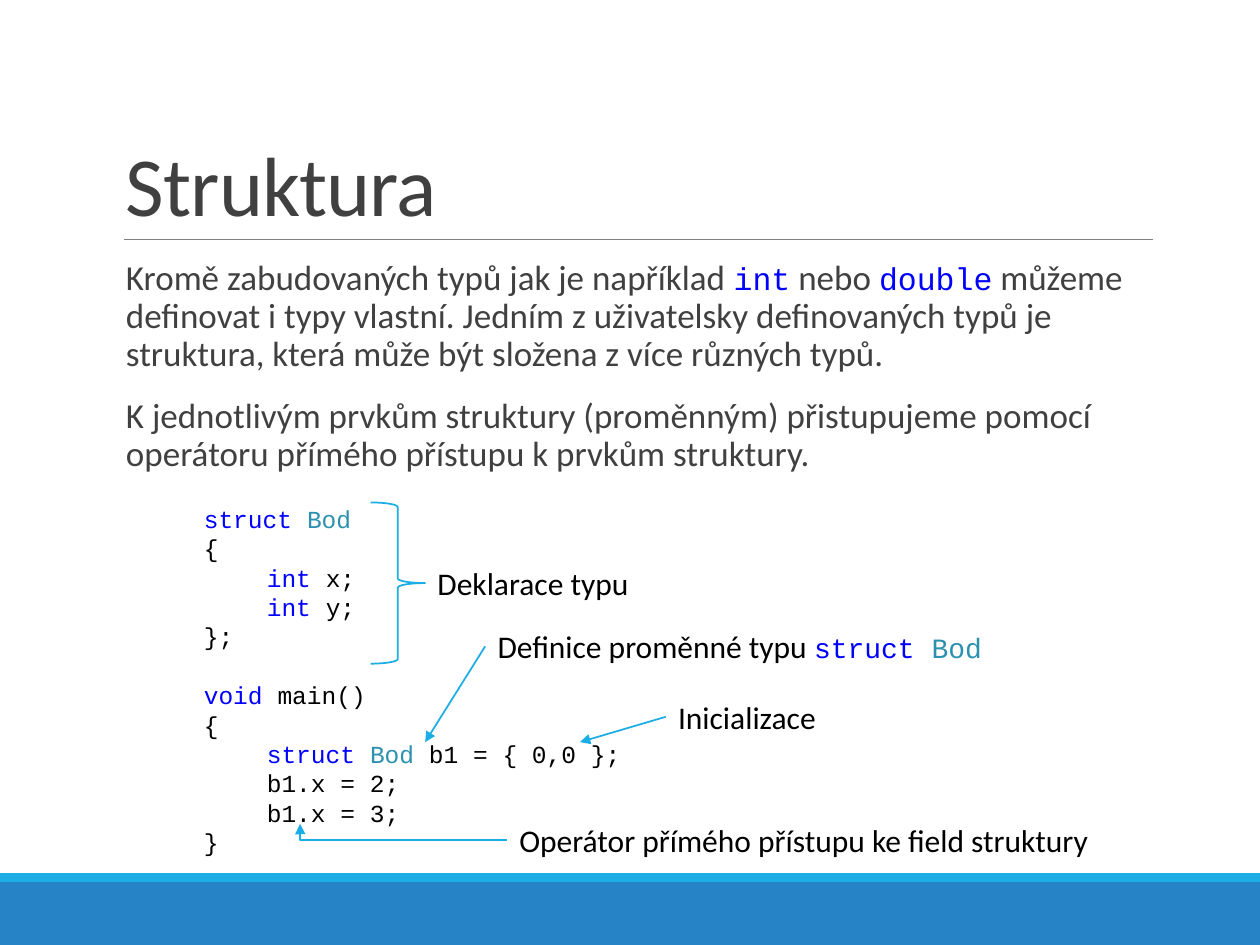
from pptx import Presentation, util as u
from pptx.dml.color import RGBColor
from pptx.enum import shapes as s, text as t
from pptx.oxml import parse_xml
from pptx.oxml.ns import nsdecls, qn

SANS, MONO = "Calibri", "Courier New"
BLACK, GRAY, SKY, NAVY = "000000", "404040", "1CADE4", "2683C6"
KEY, TYPE = "0000FF", "2B91AF"


def tint(code):
    return RGBColor.from_string(code)


def add_run(para, words, size, color=BLACK, font=SANS):
    run = para.add_run()
    run.text = words
    run.font.size = u.Pt(size)
    run.font.name = font
    run.font.color.rgb = tint(color)
    return run


def add_box(slide, x, y, w, h):
    box = slide.shapes.add_textbox(u.Cm(x), u.Cm(y), u.Cm(w), u.Cm(h))
    box.text_frame.word_wrap = True
    return box.text_frame


def add_bar(slide, x, y, w, h, color):
    bar = slide.shapes.add_shape(s.MSO_SHAPE.RECTANGLE, u.Cm(x), u.Cm(y), u.Cm(w), u.Cm(h))
    bar.shadow.inherit = False
    bar.fill.solid()
    bar.fill.fore_color.rgb = tint(color)
    bar.line.fill.background()


def add_line(slide, x1, y1, x2, y2, color=SKY, width=1, head=True, bend=None):
    kind = s.MSO_CONNECTOR.ELBOW if bend else s.MSO_CONNECTOR.STRAIGHT
    line = slide.shapes.add_connector(kind, u.Cm(x1), u.Cm(y1), u.Cm(x2), u.Cm(y2))
    line.line.color.rgb = tint(color)
    line.line.width = u.Pt(width)
    props = line._element.spPr
    if head:
        line.line._get_or_add_ln().append(
            parse_xml(f'<a:tailEnd {nsdecls("a")} type="triangle"/>'))
    if bend:
        geom = props.find(qn("a:prstGeom"))
        geom.get_or_add_avLst().append(
            parse_xml(f'<a:gd {nsdecls("a")} name="adj1" fmla="val {bend}"/>'))
    props.append(parse_xml(f'<a:effectLst {nsdecls("a")}/>'))


def add_foot(slide, x, y, w, h):
    edge = 0.18
    add_bar(slide, x, y + edge, w, h - edge, NAVY)
    add_bar(slide, x, y, w, edge, SKY)


def add_title(slide, x, y, w, h):
    frame = add_box(slide, x, y, w, h)
    frame.vertical_anchor = t.MSO_ANCHOR.BOTTOM
    para = frame.paragraphs[0]
    para.line_spacing = 0.85
    run = add_run(para, "Struktura", 48, GRAY)
    run.font._element.set("spc", "-50")
    # rule under the title
    add_line(slide, x + 0.2, y + h, x + w, y + h, "808080", 0.5, head=False)


def add_body(slide, x, y, w, h):
    frame = add_box(slide, x, y, w, h)
    frame.margin_right = 0
    texts = [
        [("Kromě zabudovaných typů jak je například ", 0), ("int", 1), (" nebo ", 0),
         ("double", 1),
         (" můžeme definovat i typy vlastní. Jedním z uživatelsky definovaných typů je "
          "struktura, která může být složena z více různých typů.", 0)],
        [("K jednotlivým prvkům struktury (proměnným) přistupujeme pomocí operátoru "
          "přímého přístupu k prvkům struktury.", 0)],
    ]
    for i, parts in enumerate(texts):
        para = frame.add_paragraph() if i else frame.paragraphs[0]
        para.line_spacing = 0.9
        para.space_before = u.Pt(12 if i else 0)
        para.space_after = u.Pt(2)
        for words, code in parts:
            if code:
                add_run(para, words, 18, KEY, MONO)
            else:
                add_run(para, words, 20, GRAY)


def add_code(slide, x, y, w, h):
    frame = add_box(slide, x, y, w, h)
    pitch = 16.8
    # each line: indent level, then its runs
    lines = [
        (0, ("struct", KEY), (" ", BLACK), ("Bod", TYPE)),
        (0, ("{", BLACK)),
        (1, ("int", KEY), (" x;", BLACK)),
        (1, ("int", KEY), (" y;", BLACK)),
        (0, ("};", BLACK)),
        (0, ("void", KEY), (" main()", BLACK)),
        (0, ("{", BLACK)),
        (1, ("struct", KEY), (" ", BLACK), ("Bod", TYPE), (" b1 = { 0,0 };", BLACK)),
        (1, ("b1.x = 2;", BLACK)),
        (1, ("b1.x = 3;", BLACK)),
        (0, ("}", BLACK)),
    ]
    for i, (level, *parts) in enumerate(lines):
        para = frame.add_paragraph() if i else frame.paragraphs[0]
        para.line_spacing = u.Pt(pitch)
        if parts[0][0] == "void":
            para.space_before = u.Pt(pitch)
        if level:
            para.level = level
            para._p.get_or_add_pPr().set("marL", str(u.Cm(1.27)))
        for words, color in parts:
            add_run(para, words, 14, color, MONO)


def add_note(slide, x, y, w, h, *parts):
    para = add_box(slide, x, y, w, h).paragraphs[0]
    for part in parts:
        add_run(para, *part)


def add_notes(slide, x, y):
    tall = 1.02
    mid = tall / 2
    # type declaration, with its brace
    brace = slide.shapes.add_shape(s.MSO_SHAPE.RIGHT_BRACE, u.Cm(x), u.Cm(y),
                                   u.Cm(1.1), u.Cm(3.25))
    brace.shadow.inherit = False
    brace.fill.background()
    brace.line.color.rgb = tint(SKY)
    brace.line.width = u.Pt(1)
    add_note(slide, x + 1.1, y + 1.12, 7.04, tall, ("Deklarace typu", 18))
    # initial values
    add_line(slide, x + 5.95, y + 3.81 + mid, x + 4.22, y + 4.83)
    add_note(slide, x + 5.95, y + 3.81, 3.91, tall, ("Inicializace", 18))
    # access operator
    add_note(slide, x + 2.75, y + 6.3, 13.03, tall,
             ("Operátor přímého přístupu ke field struktury", 18))
    add_line(slide, x + 2.75, y + 6.3 + mid, x - 1.42, y + 6.48, bend=99900)
    # variable definition
    add_line(slide, x + 2.31, y + 2.39 + mid, x + 1.1, y + 4.83)
    add_note(slide, x + 2.31, y + 2.39, 10.74, tall, ("Definice proměnné typu ", 18),
             ("struct", 16, KEY, MONO), (" ", 16, BLACK, MONO), ("Bod", 16, TYPE, MONO))


def main():
    deck = Presentation()
    deck.slide_width, deck.slide_height = u.Cm(25.4), u.Cm(19.05)
    slide = deck.slides.add_slide(deck.slide_layouts[6])
    add_foot(slide, 0, 17.6, 25.4, 1.45)
    add_title(slide, 2.29, 0.79, 20.95, 4.04)
    add_body(slide, 2.29, 5.13, 20.95, 4.93)
    add_code(slide, 3.86, 10.03, 9.09, 7.44)
    add_notes(slide, 7.47, 10.13)
    deck.save("out.pptx")


if __name__ == "__main__":
    main()
